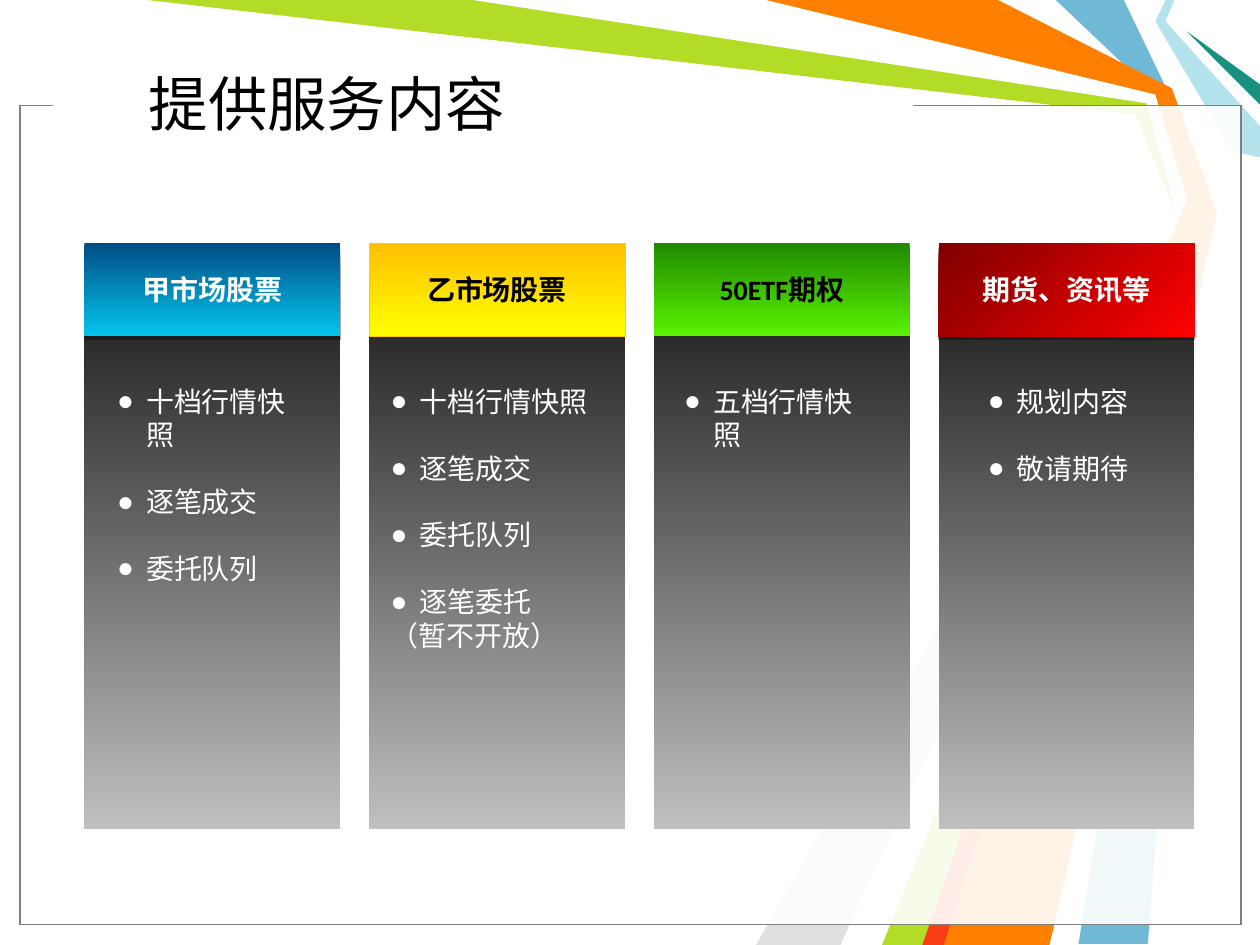
from dataclasses import dataclass
from lxml.etree import SubElement
from pptx import Presentation
from pptx.dml.color import RGBColor
from pptx.enum.shapes import MSO_SHAPE
from pptx.enum.text import MSO_ANCHOR, MSO_AUTO_SIZE, PP_ALIGN
from pptx.oxml.ns import qn
from pptx.util import Inches, Pt


@dataclass(frozen=True)
class Theme:
    black: str = "000000"
    white: str = "FFFFFF"
    frame: str = "808080"
    sky: str = "6FB9D7"
    lime: str = "B3DC27"
    mist: str = "E0E0E0"
    ice: str = "B4E3EE"
    teal: str = "189180"
    orange: str = "FF7F00"
    scarlet: str = "F93D17"
    panel: tuple = ("262626", "BFBFBF")
    blue: tuple = ("004D86", "03C6ED")
    yellow: tuple = ("FFC000", "FFFF00")
    yellow_edge: str = "FFCC00"
    green: tuple = ("208A00", "5AF300")
    red: tuple = ("800000", "FF0000")
    heading_font: str = "Calibri"
    body_font: str = "Arial"
    title_size: int = 34
    text_size: int = 16


theme = Theme()
DOWN, DIAGONAL = 270, 315


def add_rect(shapes, left, top, width, height, colors, angle=DOWN):
    rect = shapes.add_shape(MSO_SHAPE.RECTANGLE, Inches(left), Inches(top), Inches(width), Inches(height))
    rect.shadow.inherit = False
    rect.line.fill.background()
    if isinstance(colors, str):
        rect.fill.solid()
        rect.fill.fore_color.rgb = RGBColor.from_string(colors)
    else:
        rect.fill.gradient()
        rect.fill.gradient_angle = angle
        for stop, color in zip(rect.fill.gradient_stops, colors):
            stop.color.rgb = RGBColor.from_string(color)
    return rect


def format_text(para, font, size, color, bold=False):
    for span in para.runs:
        span.font.name = font
        span.font.size = Pt(size)
        span.font.bold = bold
        span.font.color.rgb = RGBColor.from_string(color)


deck = Presentation()
deck.slide_width, deck.slide_height = Inches(10), Inches(7.5)
page = deck.slides.add_slide(deck.slide_layouts.get_by_name("Comparison"))
shapes = page.shapes
title, *bodies = list(page.placeholders)

ribbons = [
    (theme.sky, [(8.92, 0), (9.29, 0.77), (9.58, 1.67), (9.11, 7.49), (8.56, 7.49),
                 (9.5, 1.67), (9.17, 0.75), (8.38, 0)]),
    (theme.lime, [(1.17, 0), (3.83, 0), (9.14, 0.78), (9.42, 1.69), (7.42, 7.5),
                  (6.92, 7.5), (9.35, 1.73), (9.01, 0.91)]),
    (theme.mist, [(6.67, 7.5), (9.27, 1.81), (6, 7.5)]),
    (theme.white, [(3.75, 0), (9.1, 0.82), (9.32, 1.62), (6.75, 7.5), (7, 7.5),
                   (9.41, 1.58), (9.17, 0.75), (6, 0)]),
    (theme.ice, [(9.25, 0), (9.17, 0.17), (9.78, 1.2), (10, 1.25), (10, 1),
                 (9.25, 0.17), (9.32, 0)]),
    (theme.teal, [(10, 0.83), (9.42, 0.25), (10, 0.67)]),
    (theme.orange, [(6.08, 0), (7.92, 0), (9.3, 0.7), (9.66, 1.69), (8.33, 7.5),
                    (7.33, 7.5), (9.42, 1.58), (9.17, 0.75)]),
    (theme.scarlet, [(7.32, 7.5), (9.32, 1.83), (7.49, 7.5)]),
]
for color, points in ribbons:
    start, *others = [(Inches(x), Inches(y)) for x, y in points]
    builder = shapes.build_freeform(*start)
    builder.add_line_segments(others, close=True)
    ribbon = builder.convert_to_shape()
    ribbon.shadow.inherit = False
    ribbon.fill.solid()
    ribbon.fill.fore_color.rgb = RGBColor.from_string(color)
    ribbon.line.fill.background()

for color in (theme.black, theme.frame):
    frame = add_rect(shapes, 0.16, 0.84, 9.69, 6.5, theme.white)
    white = frame._element.spPr.find(qn("a:solidFill")).find(qn("a:srgbClr"))
    SubElement(white, qn("a:alpha"), val="69000")
    frame.line.color.rgb = RGBColor.from_string(color)
    frame.line.width = Pt(0.75)
add_rect(shapes, 0.42, 0.74, 6.83, 0.17, theme.white)

shapes._spTree.append(title._element)
title.left, title.top, title.width, title.height = Inches(1.08), Inches(0.3), Inches(6.17), Inches(1.03)
title.text_frame.text = "提供服务内容"
title.text_frame.auto_size = MSO_AUTO_SIZE.NONE
title.text_frame.vertical_anchor = MSO_ANCHOR.MIDDLE
title_para = title.text_frame.paragraphs[0]
title_para.alignment = PP_ALIGN.LEFT
format_text(title_para, theme.body_font, theme.title_size, theme.black)

NOTE = "（暂不开放）"
columns = [
    ("甲市场股票", theme.blue, DOWN, theme.white, None, True, theme.body_font,
     (0.83, 1.75, 1.44), ["十档行情快照", "逐笔成交", "委托队列"]),
    ("乙市场股票", theme.yellow, DOWN, theme.black, theme.yellow_edge, False, theme.body_font,
     (3, 1.83, 2.5), ["十档行情快照", "逐笔成交", "委托队列", "逐笔委托", NOTE]),
    ("50ETF期权", theme.green, DOWN, theme.black, None, False, theme.heading_font,
     (5.33, 1.75, 0.63), ["五档行情快照"]),
    ("期货、资讯等", theme.red, DIAGONAL, theme.white, None, True, theme.heading_font,
     (7.74, 1.51, 0.9), ["规划内容", "敬请期待"]),
]
for index, (column, body) in enumerate(zip(columns, bodies)):
    heading, colors, angle, text_color, edge, shaded, font, (left, width, height), items = column
    column_left = 0.67 + index * 2.26
    add_rect(shapes, column_left, 2.52, 2.03, 4.06, theme.panel)
    header = add_rect(shapes, column_left, 1.93, 2.03, 0.74, colors, angle)
    if edge:
        header.line.color.rgb = RGBColor.from_string(edge)
        header.line.width = Pt(0.25)
    if shaded:
        effects = header._element.spPr.find(qn("a:effectLst"))
        shadow = SubElement(effects, qn("a:outerShdw"), dist=str(Pt(1.8)), dir="5400000", rotWithShape="0")
        shade = SubElement(shadow, qn("a:srgbClr"), val=theme.black)
        SubElement(shade, qn("a:alpha"), val="35000")
    header.text_frame.text = heading
    header.text_frame.word_wrap = True
    header.text_frame.vertical_anchor = MSO_ANCHOR.MIDDLE
    heading_para = header.text_frame.paragraphs[0]
    heading_para.alignment = PP_ALIGN.CENTER
    format_text(heading_para, theme.heading_font, theme.text_size, text_color, bold=True)

    shapes._spTree.append(body._element)
    body.left, body.top, body.width, body.height = Inches(left), Inches(3), Inches(width), Inches(height)
    frame = body.text_frame
    frame.text = "\n".join(items)
    frame.auto_size = MSO_AUTO_SIZE.NONE
    frame.vertical_anchor = MSO_ANCHOR.TOP
    for number, para in enumerate(frame.paragraphs):
        properties = para._p.get_or_add_pPr()
        bulleted = para.text != NOTE
        if bulleted:
            properties.set("marL", str(Inches(0.23)))
            properties.set("indent", str(-Inches(0.23)))
            bullet_color = SubElement(properties, qn("a:buClr"))
            SubElement(bullet_color, qn("a:srgbClr"), val=theme.white)
            SubElement(properties, qn("a:buChar"), char="●")
        else:
            properties.set("marL", "0")
            properties.set("indent", "0")
            SubElement(properties, qn("a:buNone"))
        para.alignment = PP_ALIGN.LEFT
        para.space_before = Pt(19 if number and bulleted else 0)
        format_text(para, font, theme.text_size, theme.white)

deck.save("out.pptx")
